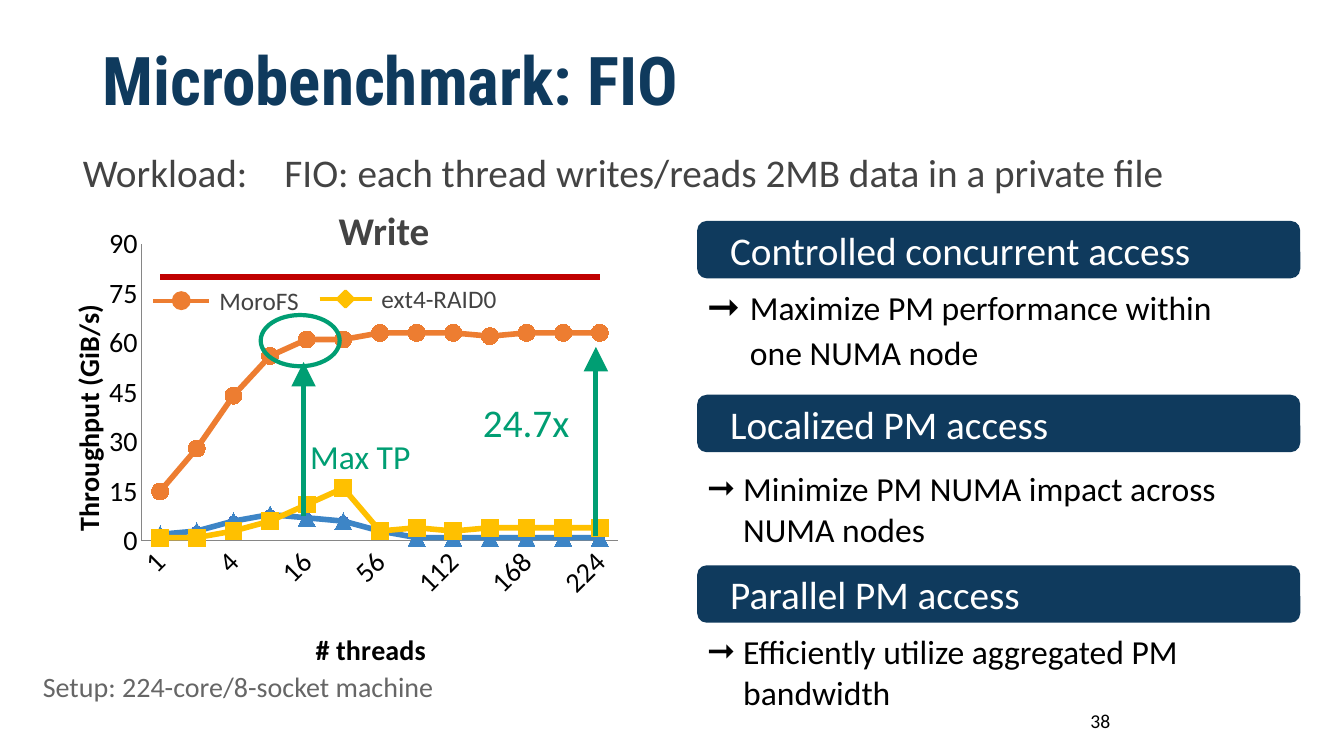
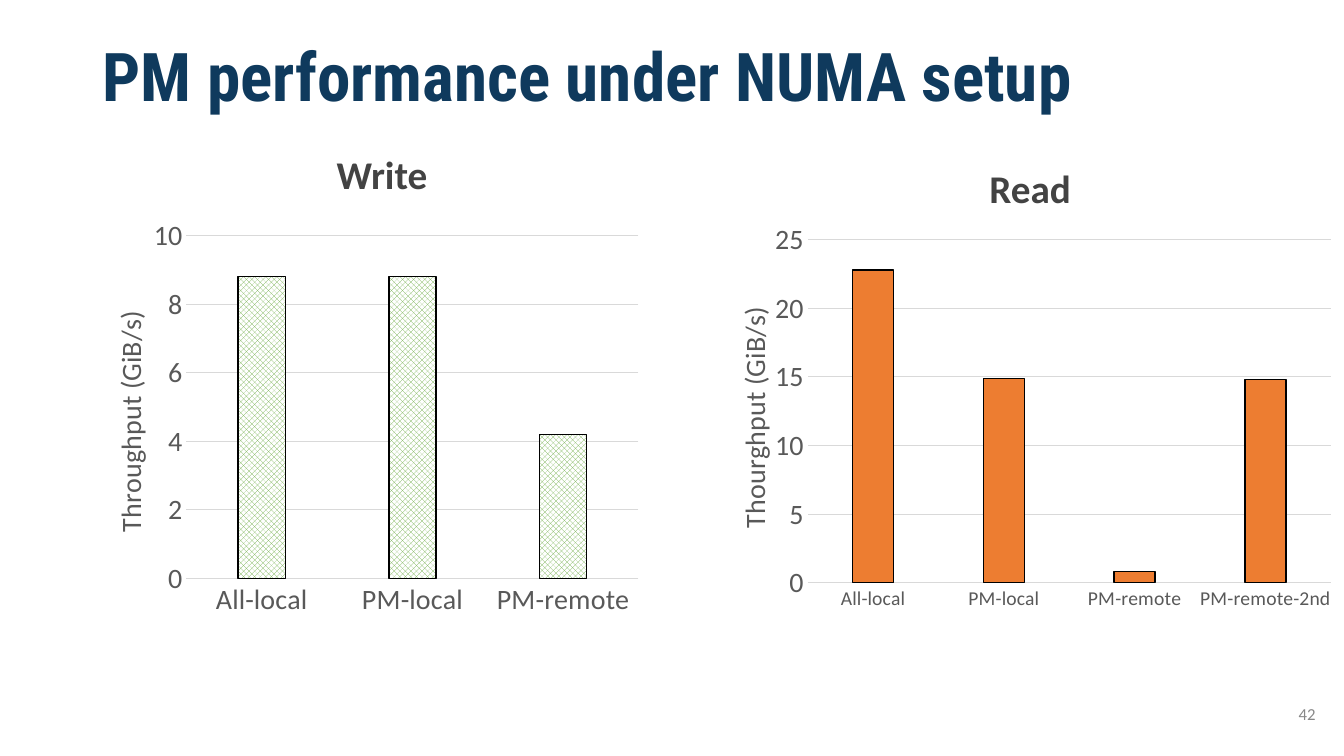
from dataclasses import dataclass

from lxml.etree import SubElement
from pptx import Presentation
from pptx.chart.data import CategoryChartData
from pptx.dml.color import RGBColor
from pptx.enum.chart import XL_CHART_TYPE, XL_MARKER_STYLE, XL_TICK_MARK
from pptx.enum.dml import MSO_PATTERN
from pptx.enum.shapes import MSO_CONNECTOR, MSO_SHAPE
from pptx.enum.text import MSO_ANCHOR, MSO_AUTO_SIZE, PP_ALIGN
from pptx.oxml.ns import qn
from pptx.util import Emu, Pt

COLUMNS, ROWS, CELL = 160, 90, 76200

class Theme:
    """Colours, fonts and type sizes of the deck."""
    navy, green, orange, yellow = "0F3A5D", "009E73", "ED7D31", "FFC000"
    red, blue, indigo, leaf = "C00000", "3D85C6", "4472C4", "70AD47"
    black, white, dark, label = "000000", "FFFFFF", "434343", "595959"
    muted, number, axis, grid = "666666", "888888", "868686", "D9D9D9"
    title_font, body_font, chart_font = "Roboto Condensed", "Calibri", "Arial"
    title_size, heading_size, body_size, chart_size = 48, 28, 24, 20
    legend_size, small_size, number_size = 18, 14, 12

@dataclass(frozen=True)
class Box:
    """A rectangle in grid columns and rows."""
    left: float
    top: float
    width: float
    height: float

    def inside(self, left, top, width, height):
        """Return a box given relative to this one."""
        return Box(self.left + left, self.top + top, width, height)

    def lengths(self):
        """Return the position and size in slide units."""
        return [Emu(round(value * CELL)) for value in (self.left, self.top, self.width, self.height)]

def rgb(colour):
    """Return a colour object for a hex value."""
    return RGBColor.from_string(colour)

def format_font(font, size, colour, bold=False, name=Theme.body_font):
    """Set the look of a font."""
    font.name, font.size, font.bold = name, Pt(size), bold
    font.color.rgb = rgb(colour)

def format_fill(fill, colour):
    """Set a solid fill."""
    fill.solid()
    fill.fore_color.rgb = rgb(colour)

def format_line(line, colour, width):
    """Set a line's colour and width."""
    line.color.rgb = rgb(colour)
    line.width = Pt(width)

def write_text(shape, text, size=Theme.heading_size, colour=Theme.dark, bold=False, name=Theme.body_font,
               align=PP_ALIGN.LEFT, anchor=MSO_ANCHOR.TOP, inset=1.2, inset_top=0.6, spacing=1.0,
               indent=0, bullet=None, bullet_share=100, tab=None):
    """Write one formatted paragraph into a shape."""
    frame = shape.text_frame
    frame.word_wrap, frame.auto_size, frame.vertical_anchor = True, MSO_AUTO_SIZE.NONE, anchor
    frame.margin_left, frame.margin_right = Emu(round(inset * CELL)), Emu(round(1.2 * CELL))
    frame.margin_top = frame.margin_bottom = Emu(round(inset_top * CELL))
    paragraph = frame.paragraphs[0]
    paragraph.text, paragraph.alignment, paragraph.line_spacing = text, align, spacing
    paragraph.space_before = paragraph.space_after = Pt(0)
    for run in paragraph.runs:
        format_font(run.font, size, colour, bold, name)
    properties = paragraph._p.get_or_add_pPr()
    properties.set("marL", str(round(indent * CELL)))
    properties.set("indent", str(round(-indent * CELL)))
    if bullet:
        SubElement(properties, qn("a:buSzPct")).set("val", str(bullet_share * 1000))
        SubElement(properties, qn("a:buFont")).set("typeface", name)
        SubElement(properties, qn("a:buChar")).set("char", bullet)
    else:
        SubElement(properties, qn("a:buNone"))
    if tab:
        tabs = SubElement(properties, qn("a:tabLst"))
        SubElement(tabs, qn("a:tab"), pos=str(round(tab * CELL)), algn="l")

def add_text(slide, box, text, **text_format):
    """Add a text box."""
    write_text(slide.shapes.add_textbox(*box.lengths()), text, **text_format)

def fill_placeholder(placeholder, box, text, **text_format):
    """Move a placeholder and write its text."""
    placeholder.left, placeholder.top, placeholder.width, placeholder.height = box.lengths()
    write_text(placeholder, text, **text_format)

def add_title(slide, top, text):
    """Set the slide's title."""
    fill_placeholder(slide.shapes.title, Box(11, top, 139.5, 10.4), text, size=Theme.title_size, bold=True,
                     colour=Theme.navy, name=Theme.title_font, anchor=MSO_ANCHOR.MIDDLE, spacing=0.9)

def add_shape(slide, kind, box, fill=None, line=None, line_width=2):
    """Add a preset shape without a shadow."""
    shape = slide.shapes.add_shape(kind, *box.lengths())
    shape.shadow.inherit = False
    if fill:
        format_fill(shape.fill, fill)
    else:
        shape.fill.background()
    if line:
        format_line(shape.line, line, line_width)
    else:
        shape.line.fill.background()
    return shape

def add_line(slide, box, colour, width, arrow=False):
    """Add a line from the box's lower left to its upper right corner."""
    left, top, across, down = box.lengths()
    connector = slide.shapes.add_connector(MSO_CONNECTOR.STRAIGHT, left, top + down, left + across, top)
    format_line(connector.line, colour, width)
    if arrow:
        SubElement(connector.line._get_or_add_ln(), qn("a:tailEnd"), type="triangle", w="lg", len="lg")
    SubElement(connector._element.spPr, qn("a:effectLst"))

def set_layout(parent, index, inner=False, **shares):
    """Give a chart part a fixed place in shares of the chart."""
    layout = parent.find(qn("c:layout"))
    if layout is None:
        layout = SubElement(parent, qn("c:layout"))
        parent.insert(index, layout)
    manual = SubElement(layout, qn("c:manualLayout"))
    target = {"layoutTarget": "inner"} if inner else {}
    for key, value in {**target, "xMode": "edge", "yMode": "edge", **shares}.items():
        SubElement(manual, qn(f"c:{key}")).set("val", str(value))

def title_axis(axis, text, colour, bold, x, y):
    """Add an axis title at a fixed place."""
    frame = axis.axis_title.text_frame
    frame.text = text
    format_font(frame.paragraphs[0].runs[0].font, Theme.chart_size, colour, bold)
    set_layout(axis.axis_title._element, 1, x=x, y=y)

def add_chart(slide, kind, box, categories, series, plot, maximum, step, colour,
              category_size=Theme.chart_size):
    """Add a chart with plain axes and a fixed plot area."""
    data = CategoryChartData()
    data.categories = categories
    for number, values in enumerate(series, 1):
        data.add_series(f"Series {number}", values)
    chart = slide.shapes.add_chart(kind, *box.lengths(), data).chart
    chart.has_legend = chart.has_title = chart.plots[0].vary_by_categories = False
    format_font(chart.font, 10, Theme.black, name=Theme.chart_font)
    set_layout(chart._chartSpace.chart.plotArea, 0, inner=True, **dict(zip("xywh", plot)))
    for axis, size in ((chart.category_axis, category_size), (chart.value_axis, Theme.chart_size)):
        axis.major_tick_mark = axis.minor_tick_mark = XL_TICK_MARK.NONE
        format_font(axis.tick_labels.font, size, colour)
        format_line(axis.format.line, Theme.axis, 0.75)
    axis = chart.value_axis
    axis.minimum_scale, axis.maximum_scale, axis.major_unit = 0, maximum, step
    axis.has_major_gridlines = False
    return chart

def add_thread_chart(slide, box):
    """Add the throughput by thread count line chart."""
    categories = [str(count) for count in (1, 2, 4, 8, 16, *range(28, 225, 28))]
    low = [2, 3, 6, 8, 7, 6, 3] + [1] * 6
    marks = XL_MARKER_STYLE
    series = [
        ([80] * 13, Theme.red, 4, marks.NONE, 2),
        (low, Theme.indigo, 0.75, marks.CIRCLE, 7),
        (low, Theme.blue, 4, marks.TRIANGLE, 12),
        ([1, 1, 3, 6, 11, 16, 3, 4, 3, 4, 4, 4, 4], Theme.yellow, 4, marks.SQUARE, 12),
        ([15, 28, 44, 56, 61, 61, 63, 63, 63, 62, 63, 63, 63], Theme.orange, 4, marks.CIRCLE, 12),
    ]
    chart = add_chart(slide, XL_CHART_TYPE.LINE_MARKERS, box, categories, [item[0] for item in series],
                      (0.19, 0.06, 0.79, 0.64), 90, 15, Theme.black)
    for line, (_, colour, width, style, size) in zip(chart.plots[0].series, series):
        line.smooth = False
        format_line(line.format.line, colour, width)
        line.marker.style, line.marker.size = style, size
        format_fill(line.marker.format.fill, colour)
        line.marker.format.line.color.rgb = rgb(colour)
    title_axis(chart.category_axis, "# threads", Theme.black, True, 0.47, 0.88)
    title_axis(chart.value_axis, "Throughput (GiB/s)", Theme.black, True, 0.06, 0.18)
    element = chart.category_axis._element
    element.find(qn("c:txPr")).find(qn("a:bodyPr")).set("rot", "-2700000")
    skip = SubElement(element, qn("c:tickLblSkip"))
    skip.set("val", "2")
    element.find(qn("c:noMultiLvlLbl")).addprevious(skip)

def add_legend_entry(slide, box, text, marker, colour):
    """Add a line sample with its marker and, to its right, a name."""
    middle, size = box.height / 2, 1.92
    add_line(slide, box.inside(0, middle, box.width, 0), colour, 3)
    add_shape(slide, marker, box.inside((box.width - size) / 2, middle - size / 2, size, size), colour, colour)
    add_text(slide, box.inside(box.width, 0, 18, box.height), text, size=Theme.legend_size)

def add_write_panel(slide, box):
    """Add the line chart with its legend and callouts."""
    add_thread_chart(slide, box)
    add_text(slide, box.inside(35.9, -1.7, 17.8, 6.8), "Write", bold=True)
    add_legend_entry(slide, box.inside(15, 7.7, 6.7, 4.8), "MoroFS", MSO_SHAPE.OVAL, Theme.orange)
    add_legend_entry(slide, box.inside(34.8, 7.5, 6.2, 4.8), "ext4-RAID0", MSO_SHAPE.DIAMOND, Theme.yellow)
    for left, top, height in ((67.7, 15.6, 22.56), (32.9, 17.4, 18.36)):
        add_line(slide, box.inside(left, top, 0, height), Theme.green, 3.5, arrow=True)
    add_text(slide, box.inside(52.3, 21.1, 14.2, 6.8), "24.7x", colour=Theme.green, align=PP_ALIGN.CENTER)
    add_text(slide, box.inside(32.5, 25.6, 17.8, 6.8), "Max TP", size=Theme.body_size, colour=Theme.green)
    add_shape(slide, MSO_SHAPE.OVAL, box.inside(27.8, 11.8, 9.4, 6.1), line=Theme.green, line_width=3)

def add_technique(slide, box, heading, text, gap, **text_format):
    """Add a heading band with an arrow item below it."""
    band = add_shape(slide, MSO_SHAPE.ROUNDED_RECTANGLE, box, Theme.navy)
    write_text(band, heading, colour=Theme.white, anchor=MSO_ANCHOR.MIDDLE, inset=3.6)
    add_text(slide, box.inside(0, box.height + gap, box.width, 12), text, size=Theme.body_size,
             colour=Theme.black, bullet="➞", **text_format)

def build_benchmark_slide(presentation):
    """Build the benchmark slide."""
    slide = presentation.slides.add_slide(presentation.slide_layouts[1])
    add_title(slide, 4.8, "Microbenchmark: FIO")
    fill_placeholder(slide.placeholders[1], Box(8.3, 16.7, 151.7, 9),
                     "Workload:\tFIO: each thread writes/reads 2MB data in a private file",
                     inset=1.56, inset_top=1.56, spacing=0.9, tab=22.9)
    add_text(slide, Box(3.2, 79.8, 50.3, 3.7), "Setup: 224-core/8-socket machine", size=Theme.chart_size,
             colour=Theme.muted, align=PP_ALIGN.CENTER, anchor=MSO_ANCHOR.MIDDLE)
    add_write_panel(slide, Box(3.24, 25.7, 71.8, 55.3))
    techniques = [
        (26.3, "Controlled concurrent access", "Maximize PM performance within\vone NUMA node", 0,
         {"indent": 5.1, "bullet_share": 117, "spacing": 1.1}),
        (47, "Localized PM access", "Minimize PM NUMA impact across\vNUMA nodes", 1.3, {"indent": 4.3}),
        (67.3, "Parallel PM access", "Efficiently utilize aggregated PM\vbandwidth", 0.4, {"indent": 4.3}),
    ]
    for top, heading, text, gap, text_format in techniques:
        add_technique(slide, Box(83, top, 71.8, 6.84), heading, text, gap, **text_format)
    add_text(slide, Box(113, 83.4, 36, 4.8), "38", size=Theme.small_size, colour=Theme.black,
             align=PP_ALIGN.CENTER, anchor=MSO_ANCHOR.MIDDLE)

def add_bar_panel(slide, box, heading, heading_place, axis_title, title_place, **chart_format):
    """Add a column chart with a heading above it and return its series."""
    chart = add_chart(slide, XL_CHART_TYPE.COLUMN_CLUSTERED, box, colour=Theme.label, **chart_format)
    chart.plots[0].gap_width, chart.plots[0].overlap = 219, -27
    chart.value_axis.has_major_gridlines = True
    format_line(chart.value_axis.major_gridlines.format.line, Theme.grid, 0.75)
    format_line(chart.category_axis.format.line, Theme.grid, 0.75)
    chart.value_axis.format.line.fill.background()
    title_axis(chart.value_axis, axis_title, Theme.label, False, *title_place)
    add_text(slide, box.inside(*heading_place, 14.8, 6.8), heading, bold=True)
    series = chart.plots[0].series[0]
    format_line(series.format.line, Theme.black, 1)
    return series

def build_numa_slide(presentation):
    """Build the slide of local and remote performance."""
    slide = presentation.slides.add_slide(presentation.slide_layouts[5])
    add_title(slide, 4.3, "PM performance under NUMA setup")
    places = ["All-local", "PM-local", "PM-remote"]
    write = add_bar_panel(slide, Box(8.4, 25.1, 69, 49.2), "Write", (30.5, -7.8), "Throughput (GiB/s)",
                          (0.06, 0.23), categories=places, series=[[8.8, 8.8, 4.2]],
                          plot=(0.2, 0.06, 0.78, 0.83), maximum=10, step=2)
    fill = write.format.fill
    fill.patterned()
    fill.pattern = MSO_PATTERN.OUTLINED_DIAMOND
    fill.fore_color.rgb, fill.back_color.rgb = rgb(Theme.leaf), rgb(Theme.white)
    read = add_bar_panel(slide, Box(80.6, 25.1, 77.9, 49.2), "Read", (36, -6.1), "Thourghput (GiB/s)",
                         (0.08, 0.22), categories=places + ["PM-remote-2nd"], series=[[22.8, 14.9, 0.8, 14.8]],
                         plot=(0.2, 0.07, 0.8, 0.83), maximum=25, step=5, category_size=Theme.small_size)
    format_fill(read.format.fill, Theme.orange)
    add_text(slide, Box(148.2, 81.6, 9.6, 6.8), "42", size=Theme.number_size, colour=Theme.number,
             align=PP_ALIGN.RIGHT, anchor=MSO_ANCHOR.MIDDLE)

def main():
    """Build and save the presentation."""
    presentation = Presentation()
    presentation.slide_width, presentation.slide_height = Emu(COLUMNS * CELL), Emu(ROWS * CELL)
    build_benchmark_slide(presentation)
    build_numa_slide(presentation)
    presentation.save("out.pptx")

if __name__ == "__main__":
    main()
